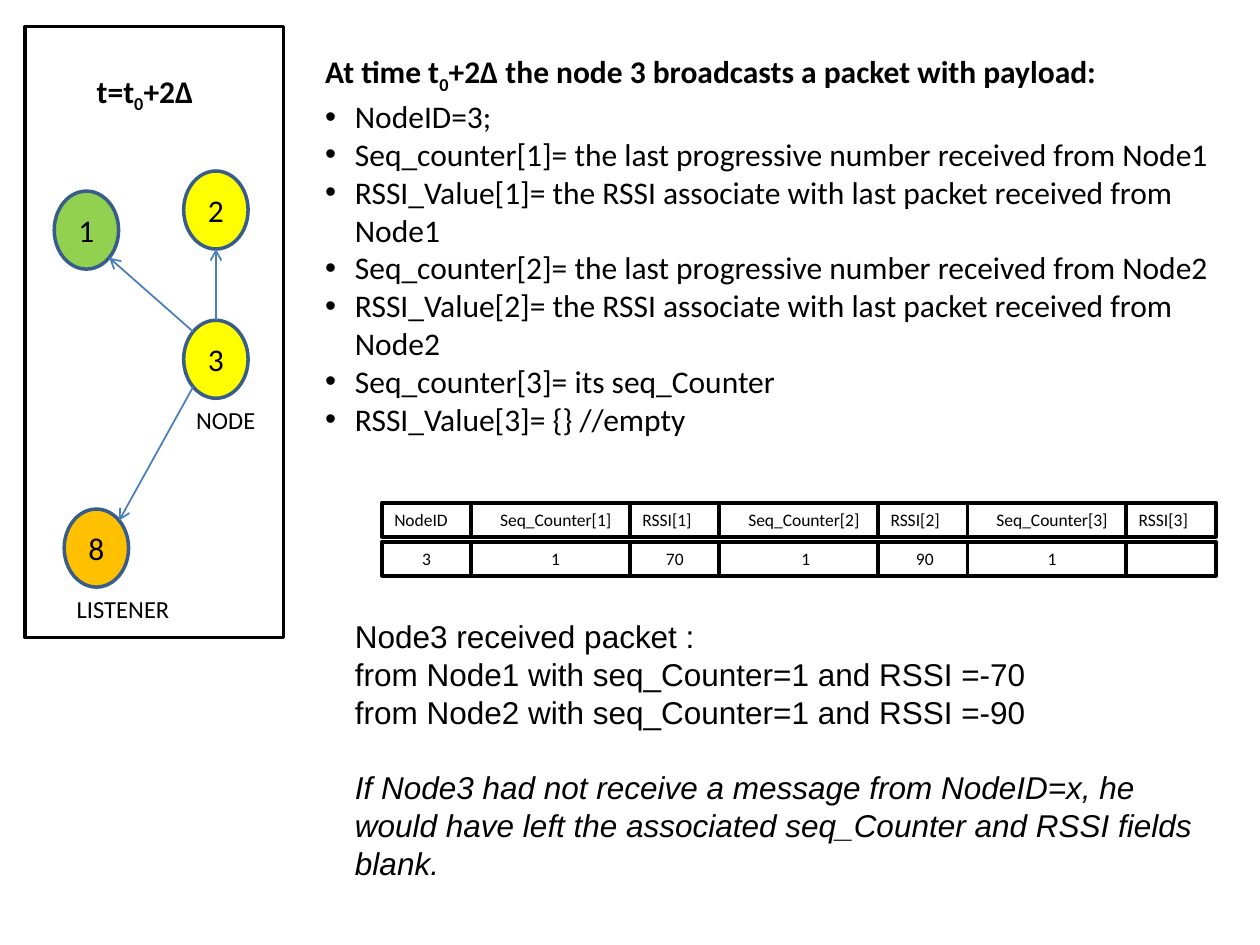
from math import cos, radians, sin

from lxml.etree import SubElement
from pptx import Presentation
from pptx.dml.color import RGBColor
from pptx.enum.shapes import MSO_CONNECTOR, MSO_SHAPE
from pptx.enum.text import MSO_ANCHOR, MSO_AUTO_SIZE, PP_ALIGN
from pptx.oxml.ns import qn
from pptx.util import Pt

BLACK, WHITE, NODE_LINE, ARROW = "000000", "FFFFFF", "385D8A", "4A7EBB"
LEFT, CENTER = PP_ALIGN.LEFT, PP_ALIGN.CENTER

# Runs are (text, is_subscript)
CAPTION = [("t=t", False), ("0", True), ("+2Δ", False)]
HEADING = [("At time t", False), ("0", True),
           ("+2Δ the node 3 broadcasts a packet with payload:", False)]
PAYLOAD = [
    "NodeID=3;",
    "Seq_counter[1]= the last progressive number received from Node1",
    "RSSI_Value[1]= the RSSI associate with last packet received from Node1",
    "Seq_counter[2]= the last progressive number received from Node2",
    "RSSI_Value[2]= the RSSI associate with last packet received from Node2",
    "Seq_counter[3]= its seq_Counter",
    "RSSI_Value[3]= {} //empty",
]
RECEIVED = [
    "Node3 received packet :",
    "from Node1 with seq_Counter=1 and RSSI =-70",
    "from Node2 with seq_Counter=1 and RSSI =-90",
]
REMARK = ("If Node3 had not receive a message from NodeID=x, he would have left "
          "the associated seq_Counter and RSSI fields blank.")

# Node: left, top, fill
NODES = {
    "1": (31, 109.2, "92D050"),
    "2": (105, 97.7, "FFFF00"),
    "3": (105, 183, "FFFF00"),
    "8": (36.7, 290.9, "FFC000"),
}
NODE_W, NODE_H = 36.8, 44.6
# Target of node 3, angle at which the arrow leaves (clockwise from the right)
ARROWS = [("2", 270), ("8", 135), ("1", 225)]
LABELS = [("LISTENER", 36.7, 336.2, 68.4), ("NODE", 105, 228.2, 56.9)]

FIELDS = ["NodeID", "Seq_Counter[1]", "RSSI[1]", "Seq_Counter[2]", "RSSI[2]",
          "Seq_Counter[3]", "RSSI[3]"]
VALUES = ["3", "1", "70", " 1", " 90", "1", ""]
PACKET_X, CELL_H = 218.2, 19.4
NARROW, WIDE, OVERLAP = 51.1, 96.5, 5.8
LINE = 21.6


def rgb(color):
    return RGBColor.from_string(color)


def add_run(p, text, size, font="Calibri", bold=False, italic=False, sub=False):
    r = p.add_run()
    r.text = text
    f = r.font
    f.size, f.name, f.bold, f.italic = Pt(size), font, bold, italic
    f.color.rgb = rgb(BLACK)
    if sub:
        f._element.set("baseline", "-25000")


def place(sp, x, y, w, h):
    sp.left, sp.top, sp.width, sp.height = Pt(x), Pt(y), Pt(w), Pt(h)
    sp.text_frame.auto_size = MSO_AUTO_SIZE.NONE
    sp.text_frame.vertical_anchor = MSO_ANCHOR.TOP


def add_textbox(s, x, y, w, h, wrap=False):
    tf = s.shapes.add_textbox(Pt(x), Pt(y), Pt(w), Pt(h)).text_frame
    tf.word_wrap = wrap
    return tf


def add_box(s, kind, box, fill, line, weight, text="", size=18, align=CENTER):
    sp = s.shapes.add_shape(kind, *map(Pt, box))
    sp.shadow.inherit = False
    if fill:
        sp.fill.solid()
        sp.fill.fore_color.rgb = rgb(fill)
    else:
        sp.fill.background()
    sp.line.color.rgb = rgb(line)
    sp.line.width = Pt(weight)
    if text:
        p = sp.text_frame.paragraphs[0]
        p.alignment = align
        add_run(p, text, size)


def rim(node, angle):
    """Point on the outline of a node at the given angle."""
    x, y, _ = NODES[node]
    a = radians(angle)
    return (Pt(x + NODE_W / 2 * (1 + cos(a))), Pt(y + NODE_H / 2 * (1 + sin(a))))


def add_arrow(s, start, end):
    c = s.shapes.add_connector(MSO_CONNECTOR.STRAIGHT, *start, *end)
    c.line.color.rgb = rgb(ARROW)
    c.line.width = Pt(1)
    SubElement(c.line._get_or_add_ln(), qn("a:tailEnd"), type="arrow")
    SubElement(c._element.spPr, qn("a:effectLst"))


def add_paragraph(tf, first):
    p = tf.paragraphs[0] if first else tf.add_paragraph()
    p.space_before = Pt(0)
    p.line_spacing = Pt(LINE)
    return p


def add_network(s):
    p = add_textbox(s, 48.2, 37.4, 79.2, 31.7).paragraphs[0]
    for text, sub in CAPTION:
        add_run(p, text, 18, bold=True, sub=sub)
    for name, (x, y, fill) in NODES.items():
        add_box(s, MSO_SHAPE.OVAL, (x, y, NODE_W, NODE_H), fill, NODE_LINE, 2, name)
    for target, angle in ARROWS:
        add_arrow(s, rim("3", angle), rim(target, angle + 180))
    for text, x, y, w in LABELS:
        add_run(add_textbox(s, x, y, w, 24.5).paragraphs[0], text, 14)
    add_box(s, MSO_SHAPE.RECTANGLE, (14.4, 15.1, 147.6, 349.2), None, BLACK, 2)


def add_payload(s):
    title, body = s.shapes.title, s.placeholders[1]
    place(title, 178.6, 25.9, 532.8, 28)
    p = title.text_frame.paragraphs[0]
    p.alignment = LEFT
    for text, sub in HEADING:
        add_run(p, text, 18, bold=True, sub=sub)
    place(body, 178.6, 52, 532.8, 264.8)
    for i, text in enumerate(PAYLOAD):
        p = add_paragraph(body.text_frame, i == 0)
        pPr = p._p.get_or_add_pPr()
        pPr.set("marL", str(Pt(17)))
        pPr.set("indent", str(-Pt(17)))
        add_run(p, text, 18)


def add_packet_row(s, y, texts, narrow_align):
    x = PACKET_X
    for i, text in enumerate(texts):
        wide = i % 2 == 1
        w = WIDE if wide else NARROW
        add_box(s, MSO_SHAPE.RECTANGLE, (x, y, w, CELL_H), WHITE, BLACK, 2.25,
                text, 10, CENTER if wide else narrow_align)
        x += w - OVERLAP if wide else w


def add_explanation(s):
    tf = add_textbox(s, 195.8, 349.2, 499, 158.4, wrap=True)
    for i, text in enumerate(RECEIVED):
        add_run(add_paragraph(tf, i == 0), text, 18, "Arial")
    p = add_paragraph(tf, False)
    p.space_before = Pt(LINE)
    add_run(p, REMARK, 18, "Arial", italic=True)


def main():
    prs = Presentation()
    prs.slide_width, prs.slide_height = Pt(720), Pt(540)
    s = prs.slides.add_slide(prs.slide_layouts[1])
    add_network(s)
    add_payload(s)
    add_packet_row(s, 287.3, FIELDS, LEFT)
    add_packet_row(s, 309.6, VALUES, CENTER)
    add_explanation(s)
    prs.save("out.pptx")


if __name__ == "__main__":
    main()
